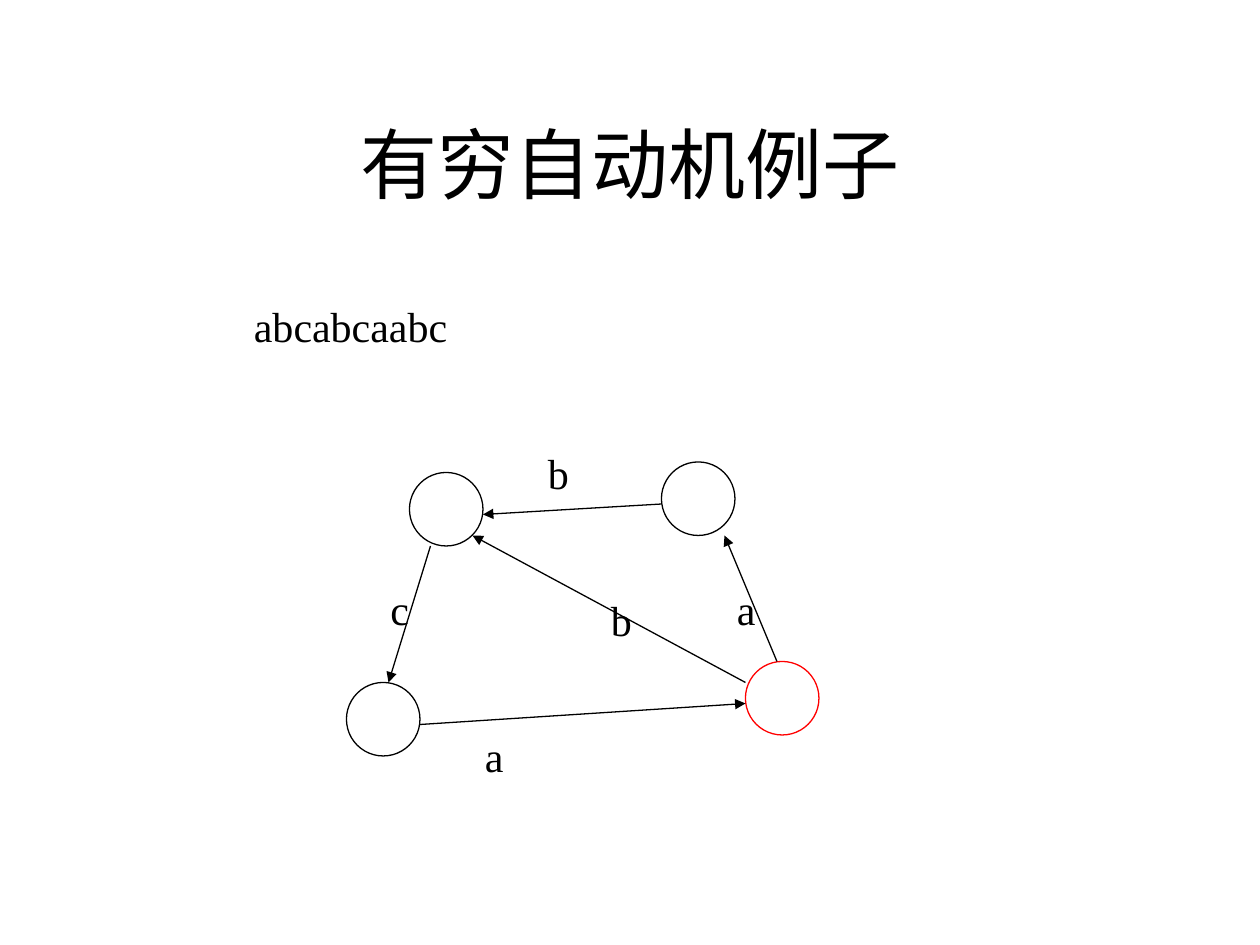
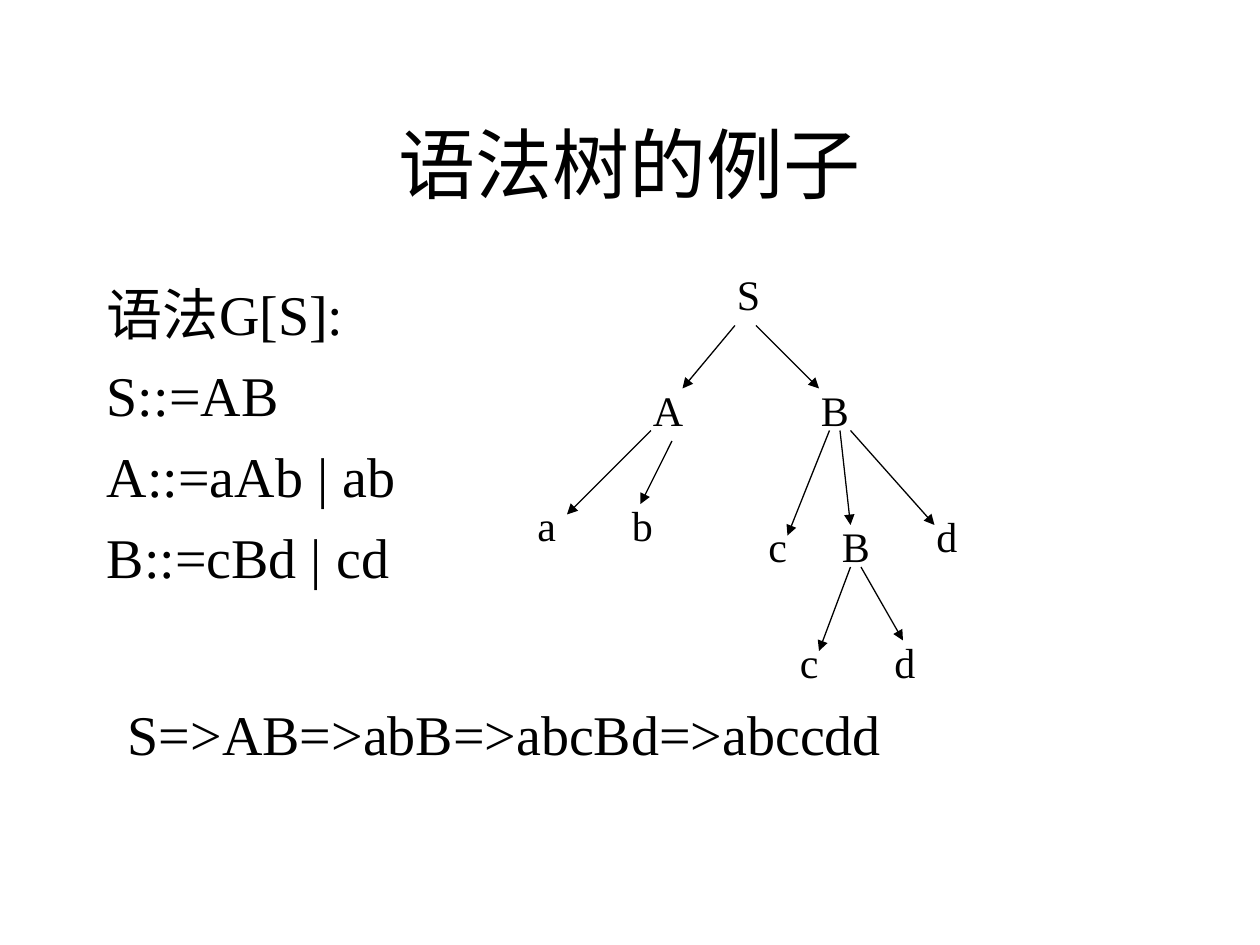
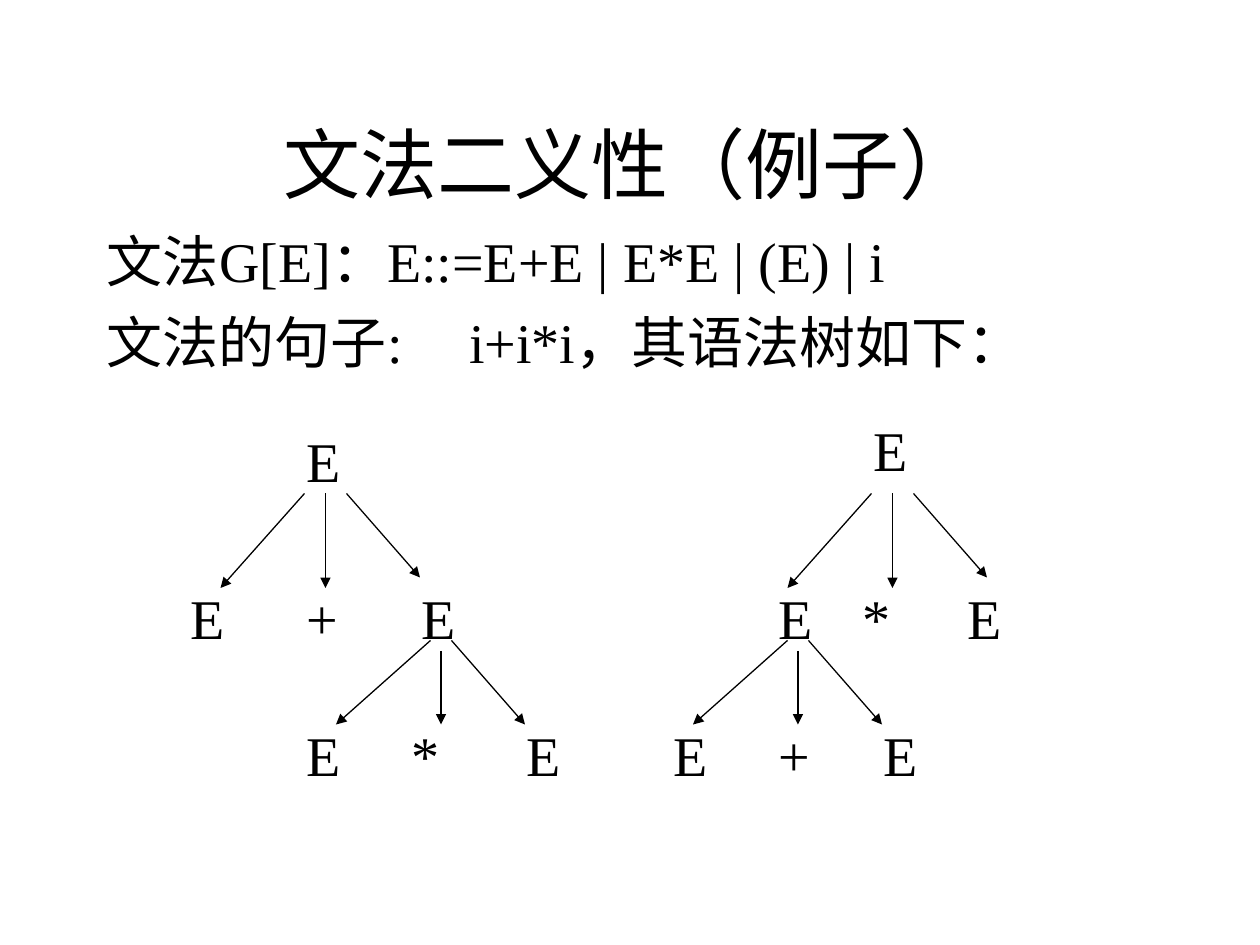
import pptx
import pptx.dml.color
import pptx.enum.shapes
import pptx.enum.text
import pptx.oxml
import pptx.oxml.ns
import pptx.util

PX = 9525
FONT = "Times New Roman"
BLACK = pptx.dml.color.RGBColor(0, 0, 0)
RED = pptx.dml.color.RGBColor(255, 0, 0)
WHITE = pptx.dml.color.RGBColor(255, 255, 255)
LINE_WIDTH = pptx.util.Pt(0.75)
TITLE_ONLY = 5
STATE_SIZE = 56
INDENT = 36
TAB_GAP = 96
LABEL_HEIGHTS = {24: 48, 32: 61}
DRAWING = "http://schemas.openxmlformats.org/drawingml/2006/main"


def px(*lengths):
    """Turn px lengths into EMU."""
    return [pptx.util.Emu(length * PX) for length in lengths]


def write_text(shape, text, size=24, align="LEFT", anchor="TOP", auto_size="NONE", space_before=0):
    """Fill a shape with one paragraph per line of text, all in one format."""
    frame = shape.text_frame
    frame.text = text
    frame.word_wrap = True
    frame.auto_size = getattr(pptx.enum.text.MSO_AUTO_SIZE, auto_size)
    frame.vertical_anchor = getattr(pptx.enum.text.MSO_ANCHOR, anchor)
    for paragraph in frame.paragraphs:
        paragraph.alignment = getattr(pptx.enum.text.PP_ALIGN, align)
        paragraph.space_before = pptx.util.Pt(space_before)
        for run in paragraph.runs:
            run.font.name = FONT
            run.font.size = pptx.util.Pt(size)
            run.font.color.rgb = BLACK


def add_titled_slide(presentation, title):
    """Add a white slide with the shared title style."""
    slide = presentation.slides.add_slide(presentation.slide_layouts[TITLE_ONLY])
    slide.background.fill.solid()
    slide.background.fill.fore_color.rgb = WHITE
    shape = slide.shapes.title
    shape.left, shape.top, shape.width, shape.height = px(72, 64, 816, 120)
    write_text(shape, title, size=44, align="CENTER", anchor="MIDDLE")
    return slide


def add_body(slide, text, left, top, width, height):
    """Add hanging-indent body text with a tab stop at every inch."""
    shape = slide.shapes.add_textbox(*px(left, top, width, height))
    write_text(shape, text, size=32, space_before=8)
    stops = "".join(f'<a:tab pos="{stop * TAB_GAP * PX}" algn="l"/>' for stop in range(8))
    for paragraph in shape.text_frame.paragraphs:
        properties = paragraph._p.get_or_add_pPr()
        properties.set("marL", str(INDENT * PX))
        properties.set("indent", str(-INDENT * PX))
        properties.append(pptx.oxml.parse_xml(f'<a:tabLst xmlns:a="{DRAWING}">{stops}</a:tabLst>'))


def add_label(shapes, text, left, top, width, size=24):
    """Add a text box that fits its text."""
    shape = shapes.add_textbox(*px(left, top, width, LABEL_HEIGHTS[size]))
    write_text(shape, text, size=size, auto_size="SHAPE_TO_FIT_TEXT", space_before=size * 0.625)


def add_state(shapes, left, top, color=BLACK):
    """Add the circle of one automaton state."""
    shape = shapes.add_shape(
        pptx.enum.shapes.MSO_SHAPE.OVAL, *px(left, top, STATE_SIZE, STATE_SIZE)
    )
    shape.shadow.inherit = False
    shape.fill.background()
    shape.line.color.rgb = color
    shape.line.width = LINE_WIDTH


def add_arrow(shapes, *ends):
    """Add a straight arrow from the first point to the second."""
    connector = shapes.add_connector(pptx.enum.shapes.MSO_CONNECTOR.STRAIGHT, *px(*ends))
    connector.line.color.rgb = BLACK
    connector.line.width = LINE_WIDTH
    line = connector.line._get_or_add_ln()
    line.append(pptx.oxml.parse_xml(f'<a:tailEnd xmlns:a="{DRAWING}" type="triangle"/>'))
    connector._element.spPr.append(pptx.oxml.parse_xml(f'<a:effectLst xmlns:a="{DRAWING}"/>'))


def add_expression_tree(shapes, labels, root_x, child_x):
    """Add a two-level expression tree with three branches a level."""
    for text, left, top, width in labels:
        add_label(shapes, text, left, top, width, size=32)
    add_arrow(shapes, root_x - 16, 376, root_x - 80, 448)
    add_arrow(shapes, root_x, 376, root_x, 448)
    add_arrow(shapes, root_x + 16, 376, root_x + 72, 440)
    add_arrow(shapes, child_x - 8, 488, child_x - 80, 552)
    add_arrow(shapes, child_x, 496, child_x, 552)
    add_arrow(shapes, child_x + 8, 488, child_x + 64, 552)


def build_automaton(presentation):
    """Build the finite automaton slide."""
    shapes = add_titled_slide(presentation, "有穷自动机例子").shapes
    for left, top, color in (
        (264, 520, BLACK), (504, 352, BLACK), (312, 360, BLACK), (568, 504, RED),
    ):
        add_state(shapes, left, top, color)
    for ends in (
        (320, 552, 568, 536), (592, 504, 552, 408), (568, 520, 360, 408),
        (328, 416, 296, 520), (504, 384, 368, 392),
    ):
        add_arrow(shapes, *ends)
    for text, left, top in (
        ("a", 360, 552), ("a", 552, 440), ("c", 288, 440), ("b", 456, 448), ("b", 408, 336),
    ):
        add_label(shapes, text, left, top, 40)
    add_label(shapes, "abcabcaabc", 184, 224, 688)


def build_syntax_tree(presentation):
    """Build the syntax tree slide."""
    slide = add_titled_slide(presentation, "语法树的例子")
    add_body(slide, "语法G[S]:\nS::=AB\nA::=aAb | ab\nB::=cBd | cd", 72, 208, 248, 456)
    for text, left, top, width in (
        ("S", 552, 200, 72), ("A", 488, 288, 56), ("B", 616, 288, 56),
        ("a", 400, 376, 56), ("b", 472, 376, 48), ("c", 576, 392, 40),
        ("B", 632, 392, 48), ("d", 704, 384, 48), ("c", 600, 480, 40), ("d", 672, 480, 48),
    ):
        add_label(slide.shapes, text, left, top, width)
    for ends in (
        (560, 248, 520, 296), (576, 248, 624, 296), (496, 328, 432, 392),
        (512, 336, 488, 384), (632, 328, 600, 408), (640, 328, 648, 400),
        (648, 328, 712, 400), (648, 432, 624, 496), (656, 432, 688, 488),
    ):
        add_arrow(slide.shapes, *ends)
    add_label(slide.shapes, "S=>AB=>abB=>abcBd=>abccdd", 88, 528, 768, size=32)


def build_ambiguity(presentation):
    """Build the slide with two trees for one sentence."""
    slide = add_titled_slide(presentation, "文法二义性（例子）")
    grammar = "文法G[E]：E::=E+E | E*E | (E) | i\n文法的句子: \ti+i*i，其语法树如下："
    add_body(slide, grammar, 72, 168, 816, 128)
    product_labels = (
        ("E", 656, 312, 48), ("E", 728, 440, 48), ("+", 584, 544, 56), ("E", 584, 440, 48),
        ("E", 504, 544, 48), ("*", 648, 440, 64), ("E", 664, 544, 56),
    )
    sum_labels = (
        ("E", 224, 320, 48), ("E", 136, 440, 48), ("+", 224, 440, 56), ("E", 312, 440, 48),
        ("E", 224, 544, 48), ("*", 304, 544, 64), ("E", 392, 544, 56),
    )
    add_expression_tree(slide.shapes, product_labels, 680, 608)
    sum_group = slide.shapes.add_group_shape()
    add_expression_tree(sum_group.shapes, sum_labels, 248, 336)


def main():
    """Build and save the presentation."""
    presentation = pptx.Presentation()
    presentation.slide_width, presentation.slide_height = px(960, 720)
    build_automaton(presentation)
    build_syntax_tree(presentation)
    build_ambiguity(presentation)
    presentation.save("out.pptx")


if __name__ == "__main__":
    main()
